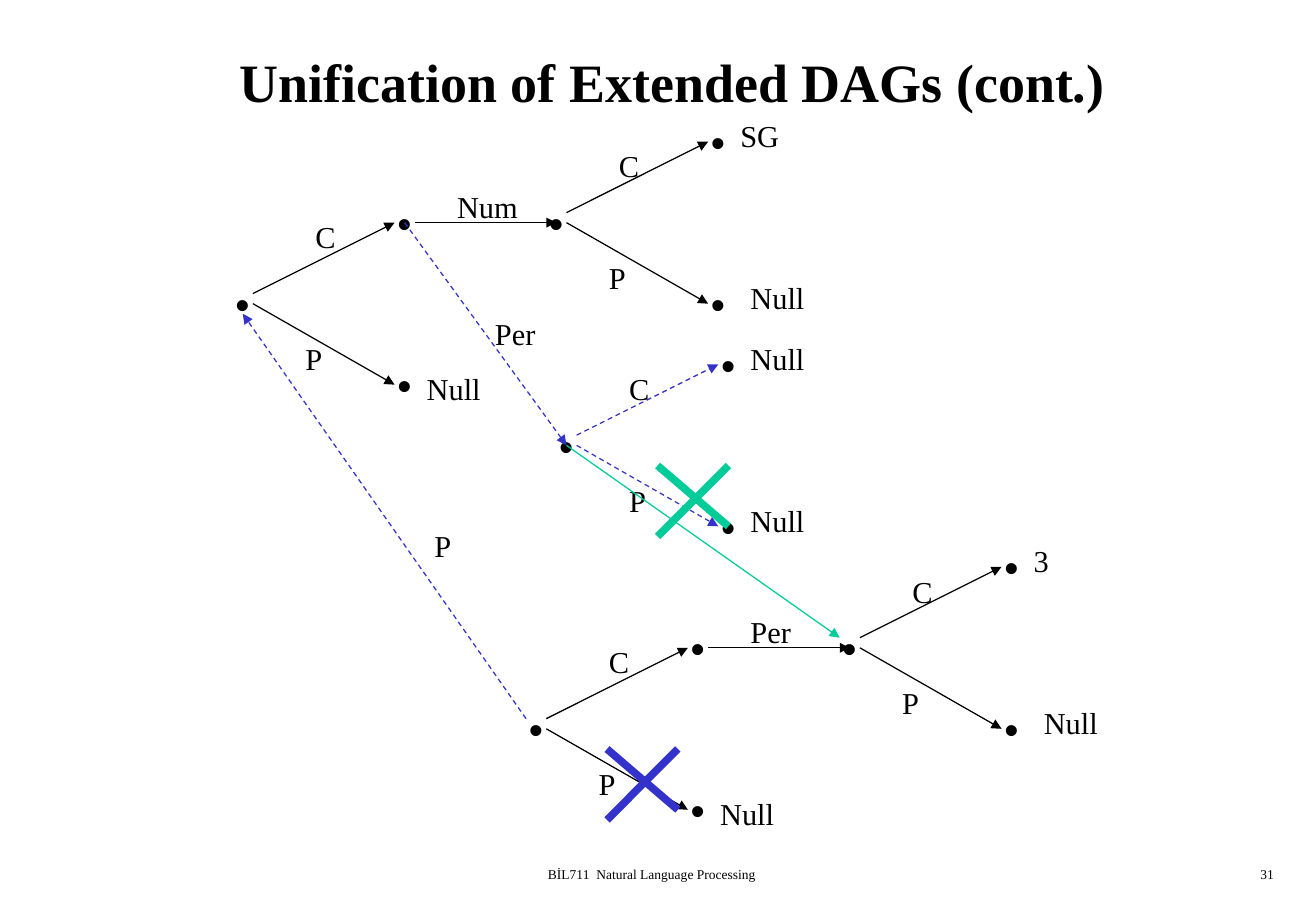
from lxml import etree
from pptx import Presentation
from pptx import util as u
from pptx.dml.color import RGBColor
from pptx.enum import dml, shapes, text
from pptx.oxml.ns import qn

BLACK = RGBColor(0x00, 0x00, 0x00)
BLUE = RGBColor(0x33, 0x33, 0xCC)
GREEN = RGBColor(0x00, 0xCC, 0x99)
LABEL_WIDTHS = {"C": 0.36, "P": 0.34, "Num": 0.7, "Per": 0.53, "Null": 0.65, "SG": 0.52, "3": 0.32}


class GraphSlide:
    """Draws a feature graph on a grid of twelve cells to the inch."""

    cell = u.Inches(1) / 12
    serif = "Times New Roman"

    def __init__(self, prs):
        self.s = prs.slides.add_slide(prs.slide_layouts[5])

    def grid(self, *cells):
        return [round(c * self.cell) for c in cells]

    def style(self, p, size, align, font=serif, bold=False):
        p.alignment = align
        p.font.size, p.font.name, p.font.bold = u.Pt(size), font, bold
        p.font.color.rgb = BLACK

    def title(self, words):
        sp = self.s.shapes.title
        sp.left, sp.top, sp.width, sp.height = self.grid(5, 2, 123, 12)
        tf = sp.text_frame
        tf.text = words
        tf.auto_size = text.MSO_AUTO_SIZE.NONE
        tf.vertical_anchor = text.MSO_ANCHOR.MIDDLE
        self.style(tf.paragraphs[0], 32, text.PP_ALIGN.CENTER, bold=True)

    def text(self, words, box, size, align=text.PP_ALIGN.LEFT, font=serif, wrap=False):
        tf = self.s.shapes.add_textbox(*self.grid(*box)).text_frame
        tf.word_wrap = wrap
        if not wrap:
            tf.auto_size = text.MSO_AUTO_SIZE.SHAPE_TO_FIT_TEXT
        tf.text = words
        self.style(tf.paragraphs[0], size, align, font)

    def footer(self, words, left, width, align):
        self.text(words, (left, 85, width, 3), 8, align, wrap=True)

    def label(self, words, x, y):
        self.text(words, (x, y, LABEL_WIDTHS[words] * 12, 4.8), 18)

    def dot(self, x, y):
        self.text("•", (x - 1.9, y - 3, 4.08, 6), 24, font="Arial")

    def line(self, start, end, color=BLACK, width=0.75, dashed=False, arrow=True):
        cn = self.s.shapes.add_connector(shapes.MSO_CONNECTOR.STRAIGHT, *self.grid(*start, *end))
        cn.line.color.rgb, cn.line.width = color, u.Pt(width)
        if dashed:
            cn.line.dash_style = dml.MSO_LINE.DASH
        if arrow:
            etree.SubElement(cn.line._get_or_add_ln(), qn("a:tailEnd"), type="triangle")
        etree.SubElement(cn._element.spPr, qn("a:effectLst"))

    def fork(self, x, y, c_offset, p_offset, **look):
        self.line((x, y), (x + 14, y - 7), **look)
        self.line((x, y + 1), (x + 14, y + 9), **look)
        for dx, dy in ((-1, 1), (15, 9), (15, -7)):
            self.dot(x + dx, y + dy)
        for words, (dx, dy) in (("C", c_offset), ("P", p_offset)):
            self.label(words, x + dx, y + dy)

    def cross(self, x, y, color):
        self.line((x + 7, y), (x, y + 7), color, 4.5, arrow=False)
        self.line((x, y), (x + 7, y + 6), color, 4.5, arrow=False)


def main():
    prs = Presentation()
    prs.slide_width, prs.slide_height = u.Inches(10.84), u.Inches(7.5)
    g = GraphSlide(prs)
    g.title("Unification of Extended DAGs (cont.)")
    g.footer("BİL711  Natural Language Processing", 40.1, 48.7, text.PP_ALIGN.CENTER)
    g.footer("31", 100, 27.1, text.PP_ALIGN.RIGHT)

    for x, y in ((25, 29), (54, 71)):
        g.fork(x, y, (5, -8), (4, 4))
        g.line((x + 16, y - 7), (x + 30, y - 7))
    for x, y in ((56, 21), (85, 63)):
        g.fork(x, y, (4, -7), (3, 4))
    g.fork(57, 43, (4, -7), (4, 4), color=BLUE, dashed=True)

    for words, x, y in (
        ("Num", 44, 18), ("Per", 73, 60), ("Per", 47.75, 30.5), ("P", 41.75, 51.5),
        ("SG", 72, 11), ("3", 101, 53), ("Null", 41, 36), ("Null", 73, 27),
        ("Null", 73, 33), ("Null", 73, 49), ("Null", 102, 69), ("Null", 70, 78),
    ):
        g.label(words, x, y)

    g.line((40, 22), (56, 44), BLUE, dashed=True)
    g.line((52, 71), (24, 31), BLUE, dashed=True)
    g.cross(60, 74, BLUE)
    g.cross(65, 46, GREEN)
    g.line((56, 44), (83, 63), GREEN)
    prs.save("out.pptx")


if __name__ == "__main__":
    main()
